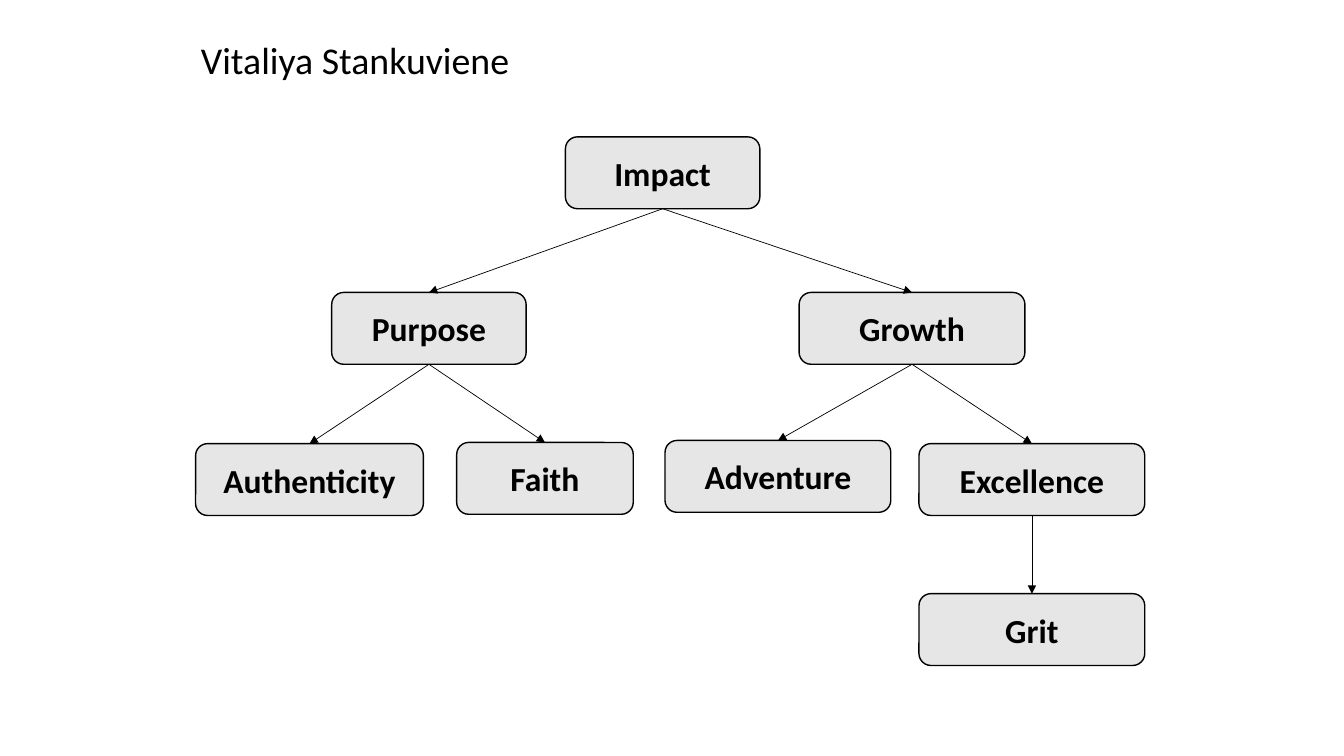
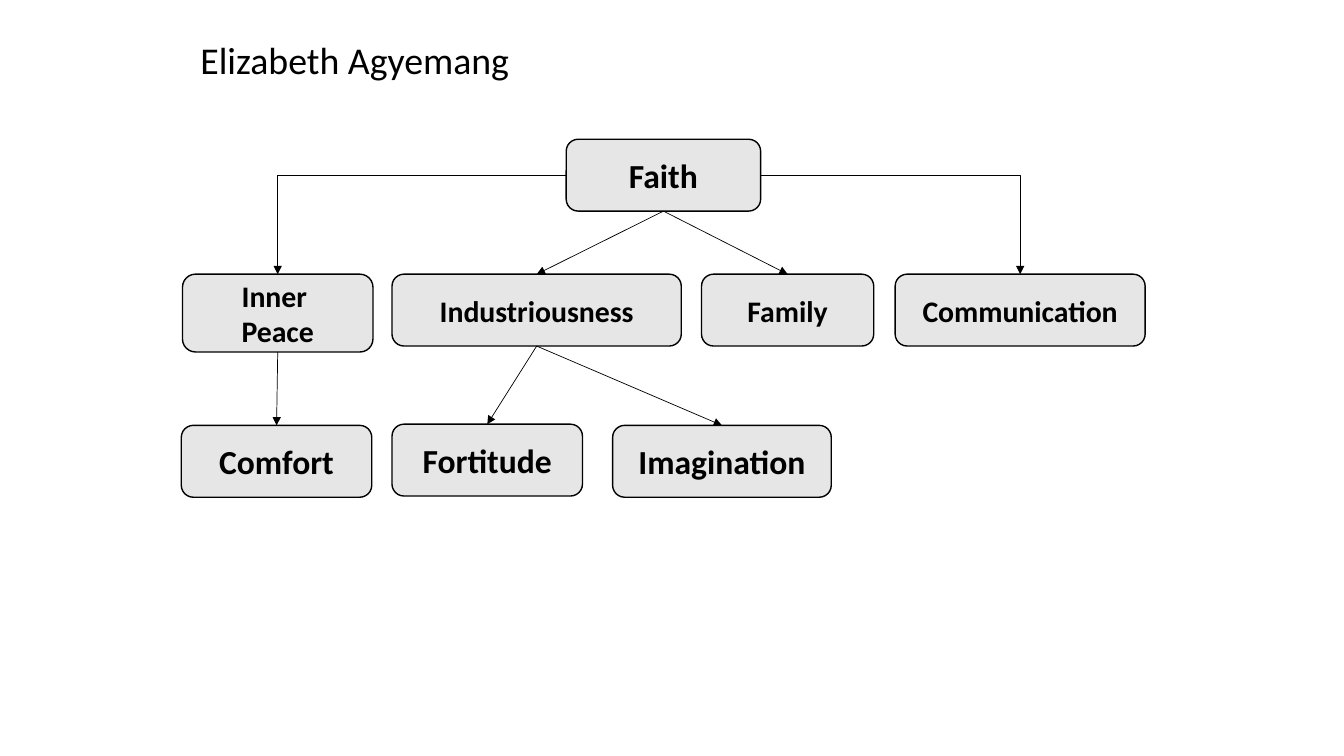
from lxml import etree
from pptx import Presentation
from pptx.dml.color import RGBColor
from pptx.enum.shapes import MSO_CONNECTOR, MSO_SHAPE
from pptx.enum.text import MSO_ANCHOR, PP_ALIGN
from pptx.oxml.ns import qn
from pptx.util import Cm, Pt

ROUNDED = MSO_SHAPE.ROUNDED_RECTANGLE
STRAIGHT, ELBOW = MSO_CONNECTOR.STRAIGHT, MSO_CONNECTOR.ELBOW
MIDDLE = MSO_ANCHOR.MIDDLE
CENTER, RIGHT = PP_ALIGN.CENTER, PP_ALIGN.RIGHT
TOP_SITE, LEFT_SITE, BOTTOM_SITE, RIGHT_SITE = range(4)

FONT = "Calibri"
COLORS = {"ink": "000000", "box": "E7E6E6"}
TITLE_PLACE = (4.24, 0.81, 8.84, 1.35)
TITLE_SIZE, LARGE, SMALL = 27, 24, 21.3
BOX_HEIGHT, TALL_HEIGHT = 1.81, 1.96

# Boxes: label, left, top, width, height, text size. Links: parent, child, site on the parent.
SLIDES = [
    {
        "title": "Vitaliya Stankuviene",
        "boxes": [
            ("Impact", 14.25, 3.45, 4.9, BOX_HEIGHT, LARGE),
            ("Purpose", 8.36, 7.37, 4.9, BOX_HEIGHT, LARGE),
            ("Growth", 20.14, 7.37, 5.69, BOX_HEIGHT, LARGE),
            ("Authenticity", 4.93, 11.18, 5.74, BOX_HEIGHT, LARGE),
            ("Faith", 11.51, 11.15, 4.45, BOX_HEIGHT, LARGE),
            ("Adventure", 16.76, 11.1, 5.69, BOX_HEIGHT, LARGE),
            ("Excellence", 23.16, 11.18, 5.69, BOX_HEIGHT, LARGE),
            ("Grit", 23.16, 14.96, 5.69, BOX_HEIGHT, LARGE),
        ],
        "links": [
            ("Impact", "Purpose", BOTTOM_SITE),
            ("Impact", "Growth", BOTTOM_SITE),
            ("Purpose", "Authenticity", BOTTOM_SITE),
            ("Purpose", "Faith", BOTTOM_SITE),
            ("Growth", "Adventure", BOTTOM_SITE),
            ("Growth", "Excellence", BOTTOM_SITE),
            ("Excellence", "Grit", BOTTOM_SITE),
        ],
    },
    {
        "title": "Elizabeth Agyemang",
        "boxes": [
            ("Faith", 14.27, 3.51, 4.9, BOX_HEIGHT, LARGE),
            ("Inner \nPeace", 4.6, 6.91, 4.8, TALL_HEIGHT, SMALL),
            ("Industriousness", 9.88, 6.91, 7.29, BOX_HEIGHT, SMALL),
            ("Family", 17.68, 6.91, 4.34, BOX_HEIGHT, SMALL),
            ("Communication", 22.56, 6.91, 6.3, BOX_HEIGHT, SMALL),
            ("Comfort", 4.57, 10.72, 4.8, BOX_HEIGHT, LARGE),
            ("Fortitude", 9.88, 10.69, 4.8, BOX_HEIGHT, LARGE),
            ("Imagination", 15.44, 10.72, 5.51, BOX_HEIGHT, LARGE),
        ],
        "links": [
            ("Faith", "Inner \nPeace", LEFT_SITE),
            ("Faith", "Industriousness", BOTTOM_SITE),
            ("Faith", "Family", BOTTOM_SITE),
            ("Faith", "Communication", RIGHT_SITE),
            ("Inner \nPeace", "Comfort", BOTTOM_SITE),
            ("Industriousness", "Fortitude", BOTTOM_SITE),
            ("Industriousness", "Imagination", BOTTOM_SITE),
        ],
    },
]


def color(name):
    return RGBColor.from_string(COLORS[name])


def write(shape, text, size, align, bold=False):
    frame = shape.text_frame
    frame.text = text
    frame.word_wrap = True
    frame.vertical_anchor = MIDDLE
    for paragraph in frame.paragraphs:
        paragraph.alignment = align
        for span in paragraph.runs:
            span.font.name = FONT
            span.font.size = Pt(size)
            span.font.bold = bold
            span.font.color.rgb = color("ink")


def add_title(page, text):
    title = page.shapes.add_textbox(*map(Cm, TITLE_PLACE))
    write(title, text, TITLE_SIZE, RIGHT)


def add_box(page, label, left, top, width, height, size):
    box = page.shapes.add_shape(ROUNDED, *map(Cm, (left, top, width, height)))
    box.shadow.inherit = False
    box.fill.solid()
    box.fill.fore_color.rgb = color("box")
    box.line.color.rgb = color("ink")
    box.line.width = Pt(1)
    write(box, label, size, CENTER, bold=True)
    return box


def add_arrow(page, parent, child, site):
    kind = STRAIGHT if site == BOTTOM_SITE else ELBOW
    arrow = page.shapes.add_connector(kind, 0, 0, 0, 0)
    arrow.begin_connect(parent, site)
    arrow.end_connect(child, TOP_SITE)
    arrow.line.color.rgb = color("ink")
    arrow.line.width = Pt(0.5)
    properties = arrow._element.spPr
    if kind == ELBOW:
        properties.find(qn("a:prstGeom")).set("prst", "bentConnector2")
    etree.SubElement(properties.find(qn("a:ln")), qn("a:tailEnd"), type="triangle")
    etree.SubElement(properties, qn("a:effectLst"))


def main():
    deck = Presentation()
    deck.slide_width, deck.slide_height = Cm(33.87), Cm(19.05)
    for content in SLIDES:
        page = deck.slides.add_slide(deck.slide_layouts[6])
        add_title(page, content["title"])
        boxes = {entry[0]: add_box(page, *entry) for entry in content["boxes"]}
        for parent, child, site in content["links"]:
            add_arrow(page, boxes[parent], boxes[child], site)
    deck.save("out.pptx")


if __name__ == "__main__":
    main()
